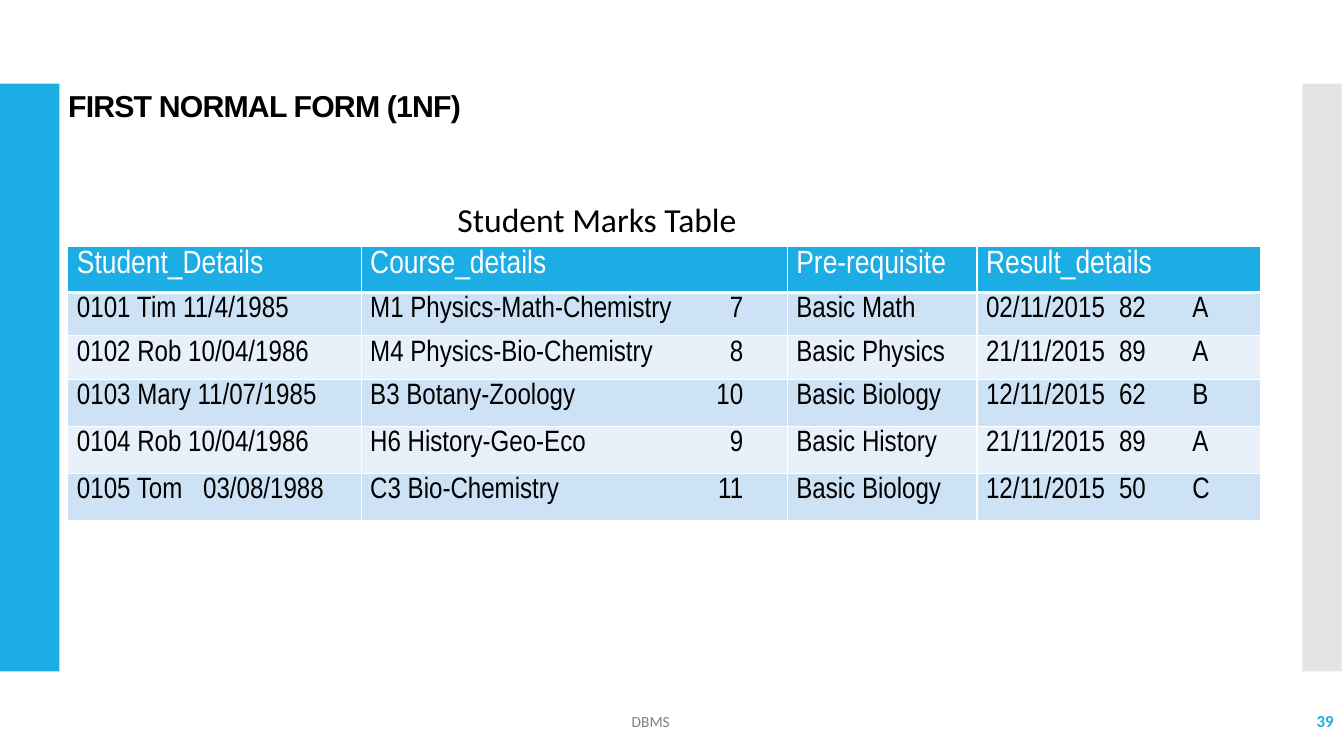
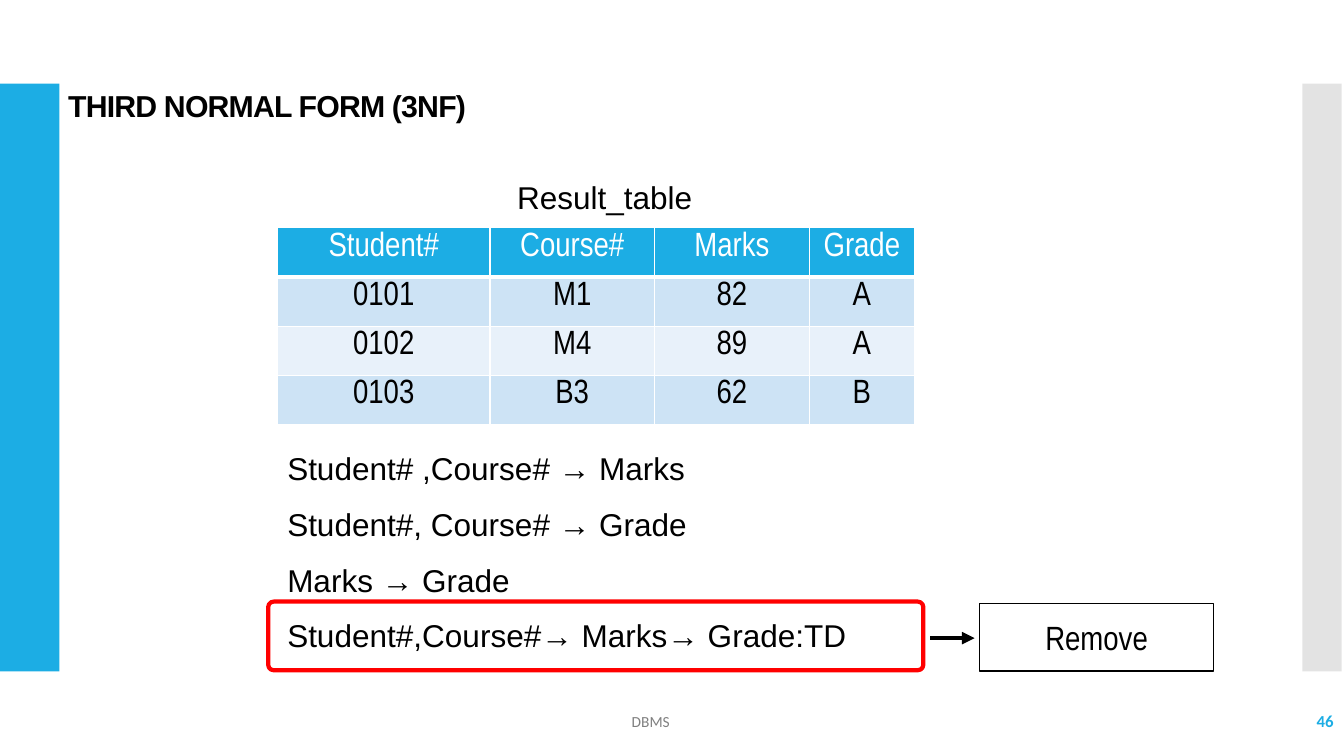
from pptx import Presentation
from pptx.dml.color import RGBColor
from pptx.enum.shapes import MSO_CONNECTOR as CONN, MSO_SHAPE as SHAPE
from pptx.enum.text import MSO_ANCHOR as ANCHOR, PP_ALIGN as ALIGN
from pptx.oxml.ns import qn
from pptx.util import Cm, Pt
from lxml.etree import SubElement

BLUE, GREY, BLACK, WHITE = "1CADE4", "C8C8C8", "000000", "FFFFFF"
RED, FOOTER_GREY = "FF0000", "808080"
ROW_FILLS = ("CDE3F5", "E8F1FA")

MARKS = {
    "at": (1.71, 6.2),
    "cols": (7.39, 10.74, 4.78, 7.14),
    "rows": (1.17, 1.09, 1.09, 1.19, 1.19, 1.19),
    "sizes": (23, 21),
    "align": ALIGN.LEFT,
    "tabs": ([(3.18, "l")], [(9.4, "r")], [], [(3.35, "l"), (5.2, "l")]),
    "cells": [
        ("Student_Details", "Course_details", "Pre-requisite", "Result_details"),
        ("0101 Tim 11/4/1985", "M1 Physics-Math-Chemistry\t7", "Basic Math", "02/11/2015\t82\tA"),
        ("0102 Rob 10/04/1986", "M4 Physics-Bio-Chemistry\t8", "Basic Physics", "21/11/2015\t89\tA"),
        ("0103 Mary 11/07/1985", "B3 Botany-Zoology\t10", "Basic Biology", "12/11/2015\t62\tB"),
        ("0104 Rob 10/04/1986", "H6 History-Geo-Eco\t9", "Basic History", "21/11/2015\t89\tA"),
        ("0105 Tom\t03/08/1988", "C3 Bio-Chemistry\t11", "Basic Biology", "12/11/2015\t50\tC"),
    ],
}
RESULT = {
    "at": (6.99, 5.74),
    "cols": (5.36, 4.14, 3.91, 2.64),
    "rows": (1.24,) * 4,
    "sizes": (24, 24),
    "align": ALIGN.CENTER,
    "tabs": ([],) * 4,
    "cells": [
        ("Student#", "Course#", "Marks", "Grade"),
        ("0101", "M1", "82", "A"),
        ("0102", "M4", "89", "A"),
        ("0103", "B3", "62", "B"),
    ],
}
DEPENDENCIES = [
    "Student# ,Course# → Marks",
    "Student#, Course# → Grade",
    "Marks → Grade",
    "Student#,Course#→ Marks→ Grade:TD",
]


def rgb(color):
    return RGBColor.from_string(color)


def style(p, font, size, color, bold=False, align=ALIGN.LEFT):
    p.alignment = align
    for r in p.runs:
        r.font.name, r.font.size, r.font.bold = font, Pt(size), bold
        r.font.color.rgb = rgb(color)


def add_text(s, at, lines, font, size, color, bold=False, align=ALIGN.LEFT,
             anchor=ANCHOR.TOP, gap=0):
    tf = s.shapes.add_textbox(*map(Cm, at)).text_frame
    tf.word_wrap, tf.vertical_anchor = True, anchor
    tf.text = "\n".join(lines)
    for i, p in enumerate(tf.paragraphs):
        if i and gap:
            p.space_before = Pt(gap)
        style(p, font, size, color, bold, align)
    return tf


def add_box(s, kind, at, fill=None, line=None, width=1):
    sp = s.shapes.add_shape(kind, *map(Cm, at))
    sp.shadow.inherit = False
    if fill:
        sp.fill.solid()
        sp.fill.fore_color.rgb = rgb(fill)
    else:
        sp.fill.background()
    if line:
        sp.line.color.rgb, sp.line.width = rgb(line), Pt(width)
    else:
        sp.line.fill.background()
    return sp


def add_arrow(s, start, end, width):
    line = s.shapes.add_connector(CONN.STRAIGHT, *map(Cm, start + end))
    line.line.color.rgb, line.line.width = rgb(BLACK), Pt(width)
    SubElement(line.line._get_or_add_ln(), qn("a:tailEnd"), type="triangle")
    SubElement(line._element.spPr, qn("a:effectLst"))


def add_borders(cell, top, bottom):
    tc_pr = cell._tc.get_or_add_tcPr()
    for side, width in (("L", 1), ("R", 1), ("T", top), ("B", bottom)):
        ln = SubElement(tc_pr, qn(f"a:ln{side}"), w=str(Pt(width)))
        SubElement(SubElement(ln, qn("a:solidFill")), qn("a:srgbClr"), val=WHITE)


def add_tabs(p, stops):
    if stops:
        tabs = SubElement(p._p.get_or_add_pPr(), qn("a:tabLst"))
        for pos, align in stops:
            SubElement(tabs, qn("a:tab"), pos=str(Cm(pos)), algn=align)


def fill_cell(cell, text, row, stops, data):
    header = row == 0
    add_borders(cell, 3 if row == 1 else 1, 3 if header else 1)
    cell.fill.solid()
    cell.fill.fore_color.rgb = rgb(BLUE if header else ROW_FILLS[(row - 1) % 2])
    cell.margin_left = cell.margin_right = Cm(0.23)
    cell.margin_top = cell.margin_bottom = Cm(0.1)
    cell.text_frame.text = text
    p = cell.text_frame.paragraphs[0]
    add_tabs(p, stops)
    style(p, "Arial Narrow", data["sizes"][0 if header else 1],
          WHITE if header else BLACK, align=data["align"])


def add_grid(s, data):
    cols, rows = data["cols"], data["rows"]
    size = (sum(cols), sum(rows))
    table = s.shapes.add_table(len(rows), len(cols), *map(Cm, data["at"] + size)).table
    for col, width in zip(table.columns, cols):
        col.width = Cm(width)
    for i, (row, height) in enumerate(zip(table.rows, rows)):
        row.height = Cm(height)
        for cell, text, stops in zip(row.cells, data["cells"][i], data["tabs"]):
            fill_cell(cell, text, i, stops, data)


def new_slide(prs, title, number):
    s = prs.slides.add_slide(prs.slide_layouts[6])
    add_box(s, SHAPE.RECTANGLE, (0, 2.11, 1.5, 14.81), BLUE)
    band = add_box(s, SHAPE.RECTANGLE, (32.82, 2.11, 0.99, 14.81), GREY)
    color = band._element.spPr.find(f".//{qn('a:srgbClr')}")
    SubElement(color, qn("a:alpha"), val="50000")
    tf = add_text(s, (1.47, 2.18, 26.52, 1.02), [title], "Arial", 21.6, BLACK, True)
    p = tf.paragraphs[0]
    p.line_spacing = 0.9
    p.runs[0].font._element.set("spc", "-60")
    add_text(s, (8.36, 17.68, 16.08, 0.99), ["DBMS"], "Calibri", 11, FOOTER_GREY,
             align=ALIGN.CENTER, anchor=ANCHOR.MIDDLE)
    add_text(s, (29.62, 17.65, 4.24, 1.02), [number], "Calibri", 12, BLUE, True,
             ALIGN.RIGHT, ANCHOR.MIDDLE)
    return s


def first_form(prs):
    s = new_slide(prs, "FIRST NORMAL FORM (1NF)", "39")
    add_text(s, (11.28, 4.9, 9.22, 1.27), ["Student Marks Table"], "Calibri", 24, BLACK)
    add_grid(s, MARKS)


def third_form(prs):
    s = new_slide(prs, "THIRD NORMAL FORM (3NF)", "46")
    add_text(s, (12.78, 4.37, 5.36, 1.22), ["Result_table"], "Arial", 22.5, BLACK)
    add_grid(s, RESULT)
    tf = add_text(s, (6.76, 11.2, 14.88, 5.54), DEPENDENCIES, "Arial", 22.5, BLACK, gap=12.7)
    tf.margin_left = Cm(0.48)
    frame = add_box(s, SHAPE.ROUNDED_RECTANGLE, (6.76, 15.16, 16.51, 1.73), line=RED, width=3)
    frame.adjustments[0] = 0.08
    remove = add_box(s, SHAPE.RECTANGLE, (24.69, 15.21, 5.89, 1.7), line=BLACK, width=0.85)
    remove.text_frame.text = "Remove"
    remove.text_frame.vertical_anchor = ANCHOR.MIDDLE
    style(remove.text_frame.paragraphs[0], "Arial Narrow", 24, BLACK, align=ALIGN.CENTER)
    add_arrow(s, (23.44, 16.08), (24.56, 16.08), 3)


def main():
    prs = Presentation()
    prs.slide_width, prs.slide_height = Cm(33.87), Cm(19.05)
    first_form(prs)
    third_form(prs)
    prs.save("out.pptx")


if __name__ == "__main__":
    main()
